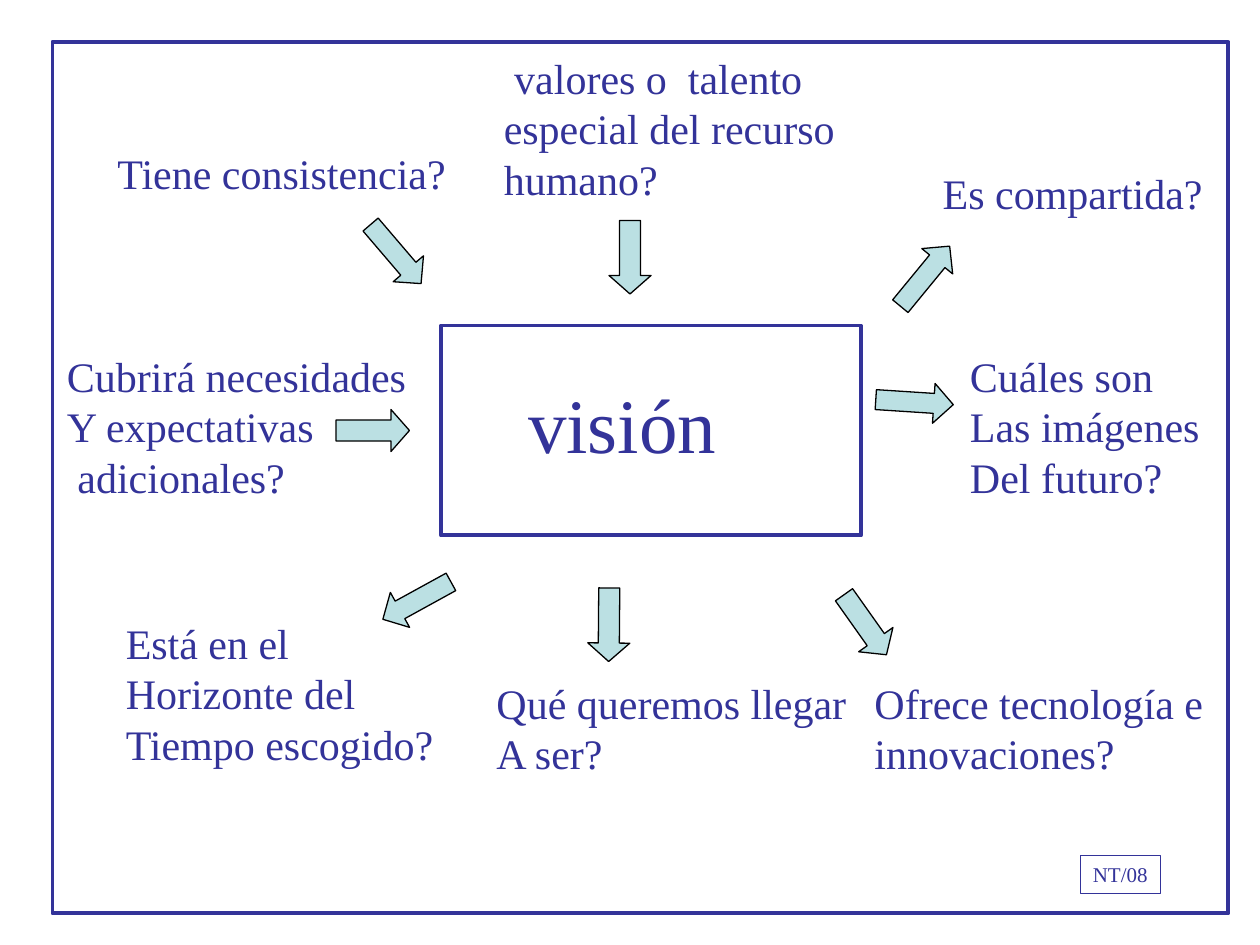
"""Build the slide of questions that surround the word visión."""
from pptx import Presentation
from pptx.dml.color import RGBColor
from pptx.enum import shapes, text
from pptx.util import Inches, Pt

WIDTH, HEIGHT = 10, 7.5
COLUMNS = 120
CELL = WIDTH / COLUMNS
FONT, INK, ARROW_FILL, ARROW_LINE = "Times New Roman", "333399", "BBE0E3", "000000"
KIND = shapes.MSO_SHAPE
RIGHT, DOWN = KIND.RIGHT_ARROW, KIND.DOWN_ARROW

FRAME = (5, 4, 112, 83)
CENTRE_BOX = (42, 31, 40, 20)
TITLE = ("visión", (49.1, 35.3, 21.2, 10.1), 44)
BADGE = ("NT/08", (102.9, 81.5, 7.6, 3.6), 12)

QUESTIONS = [
    (10, 13.5, 34.6, ["Tiene consistencia?"]),
    (46.8, 4.4, 34.8, [" valores o  talento", "especial del recurso", "humano?"]),
    (88.6, 15.4, 27.9, ["Es compartida?"]),
    (91.2, 32.8, 25, ["Cuáles son", "Las imágenes", "Del futuro?"]),
    (82.1, 63.9, 34.5, ["Ofrece tecnología e", "innovaciones?"]),
    (5.2, 32.8, 35.5, ["Cubrirá necesidades", "Y expectativas", " adicionales?"]),
    (10.8, 58.2, 32.6, ["Está en el", "Horizonte del", "Tiempo escogido?"]),
    (46.1, 63.9, 36.4, ["Qué queremos llegar", "A ser?"]),
]
QUESTION_SIZE, LINE_ROWS, PADDING_ROWS = 24, 4.8, 1.2

SHORT, LONG = (7, 4, 0.44), (7.4, 3.8, 0.49)
ARROWS = [
    (RIGHT, 35.5, 41, SHORT, 0),
    (RIGHT, 37.7, 24.2, LONG, 49.5),
    (DOWN, 60, 24.5, SHORT, 0),
    (RIGHT, 88.1, 26.3, LONG, 309.4),
    (RIGHT, 87.1, 38.3, LONG, 3.7),
    (RIGHT, 39.7, 57.2, LONG, 151.2),
    (RIGHT, 82.4, 59.5, SHORT, 54.7),
    (RIGHT, 58, 59.5, SHORT, 90.5),
]


def colour(value):
    return RGBColor.from_string(value)


def place(area):
    return [Inches(cells * CELL) for cells in area]


def add_outline(page, kind, area, line, weight, fill=None):
    shape = page.shapes.add_shape(kind, *place(area))
    shape.shadow.inherit = False
    if fill:
        shape.fill.solid()
        shape.fill.fore_color.rgb = colour(fill)
    else:
        shape.fill.background()
    shape.line.color.rgb = colour(line)
    shape.line.width = Pt(weight)
    return shape


def write(shape, lines, size):
    frame = shape.text_frame
    frame.word_wrap = False
    frame.auto_size = text.MSO_AUTO_SIZE.NONE
    frame.vertical_anchor = text.MSO_ANCHOR.TOP
    for index, line in enumerate(lines):
        para = frame.add_paragraph() if index else frame.paragraphs[0]
        para.alignment = text.PP_ALIGN.LEFT
        span = para.add_run()
        span.text = line
        span.font.name = FONT
        span.font.size = Pt(size)
        span.font.color.rgb = colour(INK)


def add_arrow(page, kind, middle_x, middle_y, size, angle):
    length, breadth, head = size
    across, down = (breadth, length) if kind == DOWN else (length, breadth)
    area = (middle_x - across / 2, middle_y - down / 2, across, down)
    arrow = add_outline(page, kind, area, ARROW_LINE, 0.75, ARROW_FILL)
    arrow.adjustments[1] = head
    arrow.rotation = angle


def main():
    deck = Presentation()
    deck.slide_width, deck.slide_height = Inches(WIDTH), Inches(HEIGHT)
    page = deck.slides.add_slide(deck.slide_layouts.get_by_name("Title Only"))

    for area in (CENTRE_BOX, FRAME):
        add_outline(page, KIND.RECTANGLE, area, INK, 2.25)

    word, area, size = TITLE
    title = page.shapes.title
    title.left, title.top, title.width, title.height = place(area)
    write(title, [word], size)

    label, area, size = BADGE
    write(add_outline(page, KIND.RECTANGLE, area, INK, 0.75), [label], size)

    for left, top, width, lines in QUESTIONS:
        height = PADDING_ROWS + LINE_ROWS * len(lines)
        box = page.shapes.add_textbox(*place((left, top, width, height)))
        write(box, lines, QUESTION_SIZE)

    for arrow in ARROWS:
        add_arrow(page, *arrow)

    deck.save("out.pptx")


if __name__ == "__main__":
    main()
